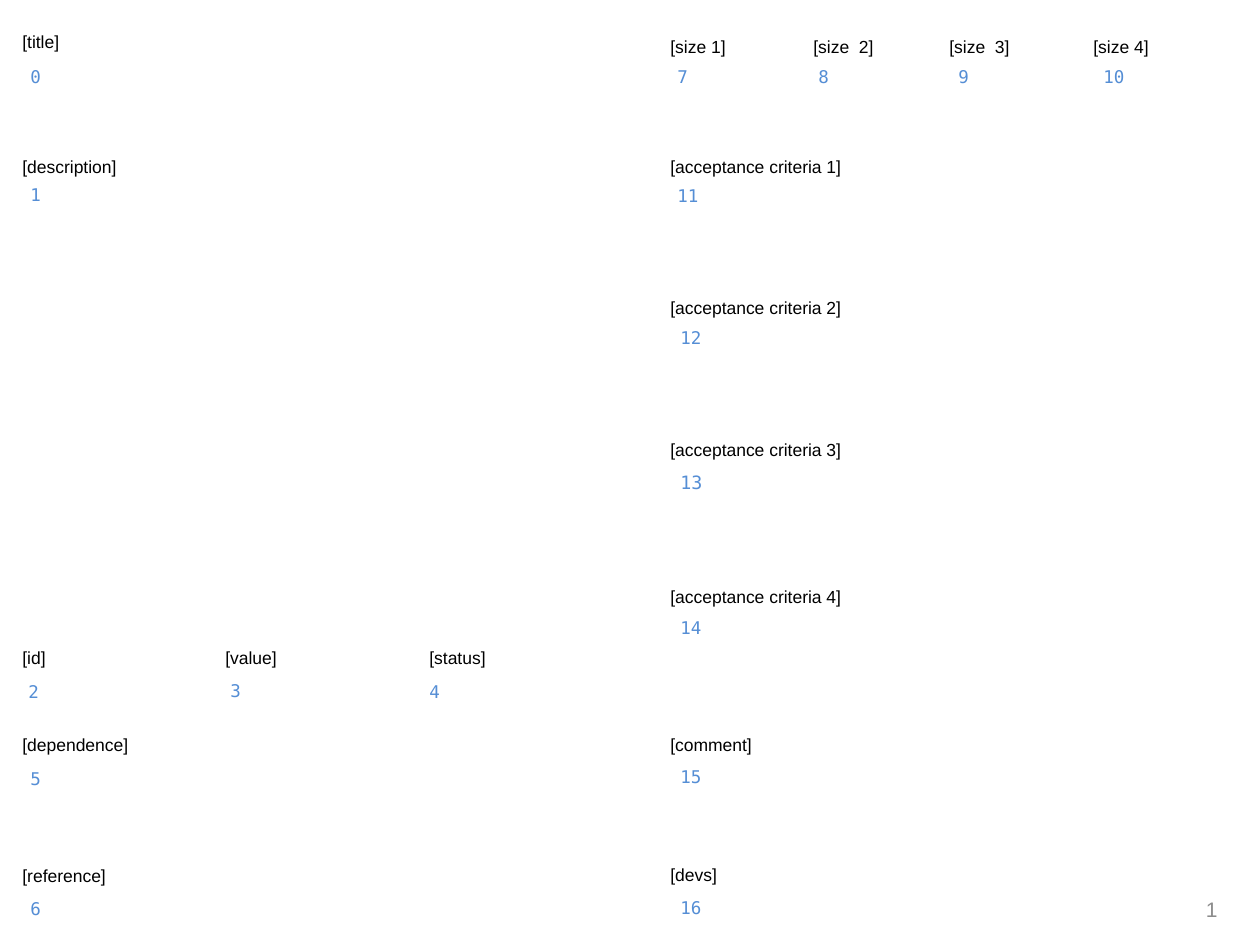
from dataclasses import dataclass

from pptx import Presentation
from pptx.dml.color import RGBColor
from pptx.enum.shapes import MSO_SHAPE
from pptx.enum.text import MSO_ANCHOR, MSO_AUTO_SIZE, PP_ALIGN
from pptx.util import Emu, Pt


@dataclass(frozen=True)
class Theme:
    label_font: str = "Arial"
    field_font: str = "DejaVu Sans Mono"
    label_size: float = 10
    field_size: float = 10
    large_field_size: float = 10.5
    page_size: float = 12
    label_color: str = "000000"
    field_color: str = "558ED5"
    page_color: str = "8C8C8C"
    paper: str = "FFFFFF"


THEME = Theme()
EMU_PER_PX = 914400 / 126

LEFT, RIGHT, RIGHT_FIELD = 10, 658, 668
SIZES = [
    ("[size 1]", 658, 81, 665),
    ("[size  2]", 801, 86, 806),
    ("[size  3]", 937, 86, 946),
    ("[size 4]", 1081, 81, 1091),
]
CRITERIA = [(150, 665, 179), (291, 668, 321), (433, 668, 465), (580, 668, 611)]
DETAILS = [
    ("[id]", 10, 89, 16, 675),
    ("[value]", 213, 77, 218, 674),
    ("[status]", 417, 82, 417, 675),
]
LABELS = [
    ("[title]", LEFT, 25, 63, 34),
    ("[description]", LEFT, 150, 120, 34),
    ("[dependence]", LEFT, 728, 131, 34),
    ("[reference]", LEFT, 859, 110, 34),
    ("[comment]", RIGHT, 728, 107, 35),
    ("[devs]", RIGHT, 858, 72, 35),
]
FIELDS = [
    (0, 18, 60, 573, 83),
    (1, 18, 178, 573, 462),
    (5, 18, 762, 575, 96),
    (6, 18, 892, 585, 34),
    (15, RIGHT_FIELD, 760, 559, 98),
    (16, RIGHT_FIELD, 891, 454, 35),
]


def px(*values):
    return [Emu(round(v * EMU_PER_PX)) for v in values]


def set_text(sp, text, font, size, color):
    p = sp.text_frame.paragraphs[0]
    p.text = text
    p.alignment = PP_ALIGN.LEFT
    p.font.name = font
    p.font.size = Pt(size)
    p.font.color.rgb = RGBColor.from_string(color)
    return p


def add_label(s, text, x, y, w, h):
    sp = s.shapes.add_textbox(*px(x, y, w, h))
    sp.text_frame.word_wrap = False
    sp.text_frame.auto_size = MSO_AUTO_SIZE.SHAPE_TO_FIT_TEXT
    set_text(sp, text, THEME.label_font, THEME.label_size, THEME.label_color)


def add_field(s, number, x, y, w, h, size=THEME.field_size):
    sp = s.shapes.add_shape(MSO_SHAPE.RECTANGLE, *px(x, y, w, h))
    sp.shadow.inherit = False
    sp.fill.solid()
    sp.fill.fore_color.rgb = RGBColor.from_string(THEME.paper)
    sp.line.fill.background()
    sp.text_frame.word_wrap = True
    sp.text_frame.vertical_anchor = MSO_ANCHOR.TOP
    set_text(sp, str(number), THEME.field_font, size, THEME.field_color)


def add_page_number(s, number, x, y, w, h):
    sp = s.shapes.add_textbox(*px(x, y, w, h))
    sp.text_frame.word_wrap = True
    sp.text_frame.vertical_anchor = MSO_ANCHOR.MIDDLE
    p = set_text(sp, str(number), THEME.label_font, THEME.page_size, THEME.page_color)
    p.alignment = PP_ALIGN.RIGHT


def add_labels(s):
    for label in LABELS:
        add_label(s, *label)
    for text, x, w, _ in SIZES:
        add_label(s, text, x, 30, w, 32)
    for text, x, w, _, _ in DETAILS:
        add_label(s, text, x, 641, w, 34)
    for i, (y, _, _) in enumerate(CRITERIA, 1):
        add_label(s, f"[acceptance criteria {i}]", RIGHT, y, 198, 35)


def add_fields(s):
    for field in FIELDS:
        add_field(s, *field)
    for number, (_, _, _, x, y) in enumerate(DETAILS, 2):
        add_field(s, number, x, y, 174, 38)
    for number, (_, _, _, x) in enumerate(SIZES, 7):
        add_field(s, number, x, 60, 123, 84)
    for number, (_, x, y) in enumerate(CRITERIA, 11):
        size = THEME.large_field_size if number == 13 else THEME.field_size
        add_field(s, number, x, y, 557, 115, size)


def main():
    prs = Presentation()
    prs.slide_width, prs.slide_height = px(1260, 945)
    s = prs.slides.add_slide(prs.slide_layouts[6])
    add_labels(s)
    add_page_number(s, 1, 1143, 892, 87, 34)
    add_fields(s)
    prs.save("out.pptx")


if __name__ == "__main__":
    main()
